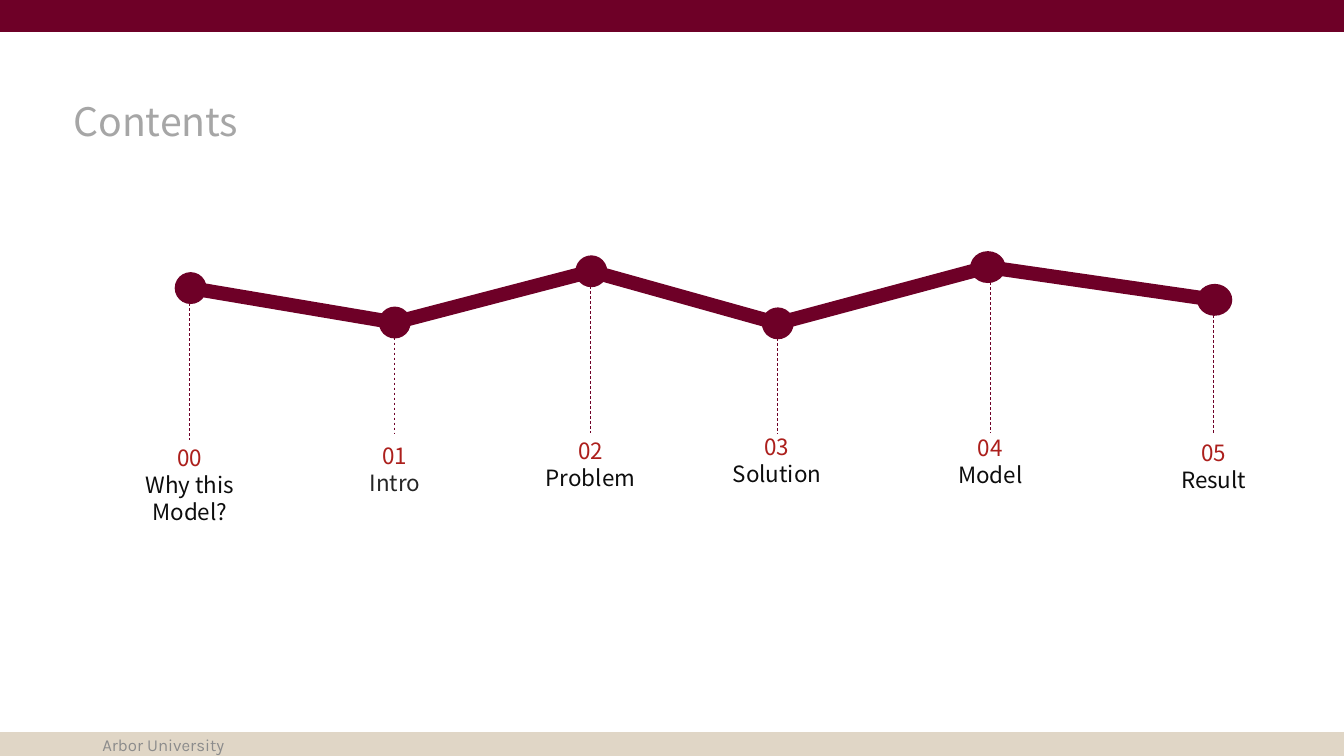
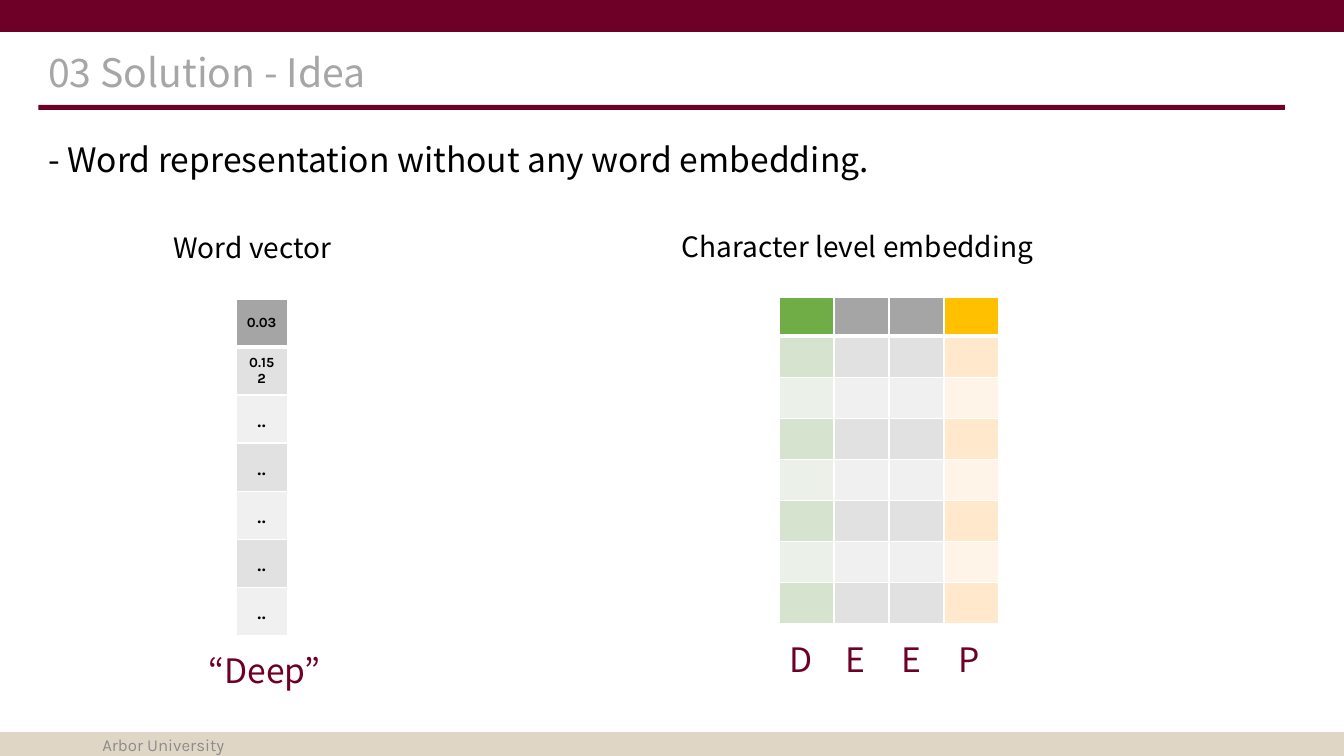
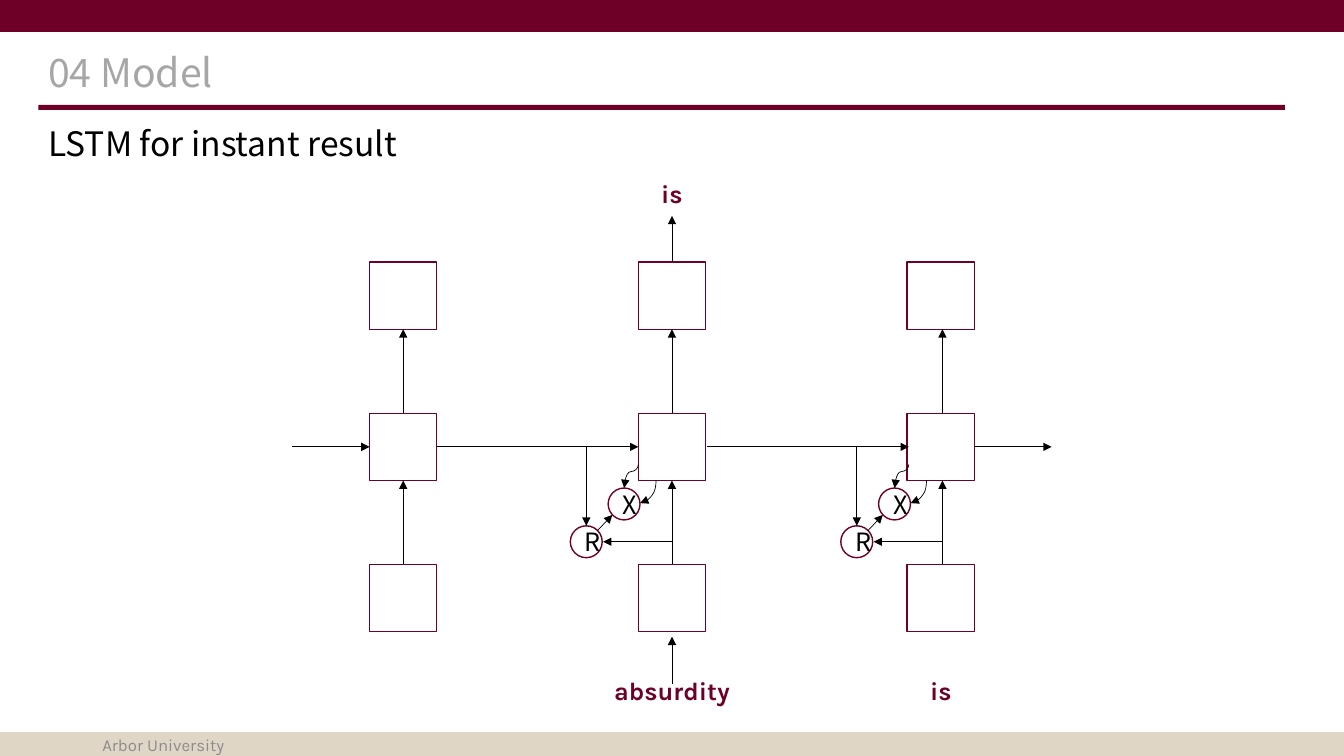
import math
from lxml import etree
from pptx import Presentation
from pptx import util as u
from pptx.dml.color import RGBColor as RGB
from pptx.enum import dml, shapes, text
from pptx.oxml import ns

COLUMNS, ROWS = 80, 45
CELL = u.Inches(1) / 6
SANS, KARLA = "Noto Sans CJK KR", "Karla"
KIND, ALIGN, ANCHOR = shapes.MSO_SHAPE, text.PP_ALIGN, text.MSO_ANCHOR


class Theme:
    wine, sand, white, black = "6E0027", "E0D6C6", "FFFFFF", "000000"
    soft, dark = "262626", "0D0D0D"
    gray = ("A5A5A5", "E1E1E1", "F0F0F0")
    green = ("70AD47", "D5E3CF", "EBF1E9")
    amber = ("FFC000", "FFE8CC", "FFF4E7")
    title = ("A6A6A6", {"name": SANS, "size": u.Pt(28)})
    lead = (black, {"name": SANS, "size": u.Pt(24)})
    heading = (black, {"name": SANS, "size": u.Pt(20)})
    letter = (wine, {"name": SANS, "size": u.Pt(24)})
    number = ("AC1F1C", {"name": SANS, "size": u.Pt(16)})
    gate = (black, {"name": SANS, "size": u.Pt(18)})
    footer = ("8C8C8C", {"name": KARLA, "size": u.Pt(12)})
    figure = (black, {"name": KARLA, "size": u.Pt(10), "bold": True})
    dots = (black, {"name": KARLA, "size": u.Pt(18)})
    word = (wine, {"name": KARLA, "size": u.Pt(18), "bold": True})


def block(slide, kind, box, fill=None, line=None, turn=0):
    shape = slide.shapes.add_shape(kind, *[round(n * CELL) for n in box])
    shape.shadow.inherit = False
    shape.rotation = turn
    for paint, color in ((shape.fill, fill), (shape.line.fill, line)):
        if color:
            paint.solid()
            paint.fore_color.rgb = RGB.from_string(color)
        else:
            paint.background()
    if line:
        shape.line.width = u.Pt(1)
    return shape


def write(frame, lines, align=ALIGN.JUSTIFY, spacing=0.9, anchor=ANCHOR.MIDDLE):
    frame.word_wrap, frame.vertical_anchor = True, anchor
    for i, (words, (ink, font_values)) in enumerate(lines):
        paragraph = frame.add_paragraph() if i else frame.paragraphs[0]
        paragraph.alignment, paragraph.line_spacing = align, spacing
        run = paragraph.add_run()
        run.text = words
        run.font.color.rgb = RGB.from_string(ink)
        for name, value in font_values.items():
            setattr(run.font, name, value)


deck = Presentation()
deck.slide_width, deck.slide_height = round(COLUMNS * CELL), round(ROWS * CELL)
contents, idea, model = [deck.slides.add_slide(deck.slide_layouts[6]) for _ in range(3)]
captions, sheets, links = [], [], []

for slide, heading, left, top in (
    (contents, "Contents", 3.78, 4.92),
    (idea, "03 Solution - Idea", 2.28, 2.04),
    (model, "04 Model", 2.28, 2.04),
):
    block(slide, KIND.RECTANGLE, (0, 43.6, COLUMNS, 1.4), Theme.sand, Theme.sand)
    block(slide, KIND.RECTANGLE, (0, 0, COLUMNS, 1.85), Theme.wine, Theme.wine)
    if slide is not contents:
        block(slide, KIND.RECTANGLE, (2.28, 6.24, 74.2, 0.3), Theme.wine)
    captions += [
        (slide, (left, top, 69, 4.86), heading, Theme.title),
        (slide, (5.5, 43.45, 18, 1.75), "Arbor University", Theme.footer),
    ]

stops = [
    (11.35, 17.15, 1.9, 11.3, 26.15, ["Why this", "Model?"], Theme.dark),
    (23.5, 19.2, 1.9, 23.5, 26.05, ["Intro"], Theme.soft),
    (35.2, 16.15, 1.9, 35.15, 25.75, ["Problem"], Theme.dark),
    (46.3, 19.25, 1.9, 46.25, 25.5, ["Solution"], Theme.dark),
    (58.8, 15.9, 2.1, 58.95, 25.55, ["Model"], Theme.dark),
    (72.3, 17.85, 2.1, 72.25, 25.85, ["Result"], Theme.dark),
]
BAR = 0.84
for (x1, y1, *_), (x2, y2, *_) in zip(stops, stops[1:]):
    length = math.hypot(x2 - x1, y2 - y1)
    bar = ((x1 + x2 - length) / 2, (y1 + y2 - BAR) / 2, length, BAR)
    angle = math.degrees(math.atan2(y2 - y1, x2 - x1))
    block(contents, KIND.RECTANGLE, bar, Theme.wine, turn=angle)
for i, (x, y, dot, stick, label_top, topic, ink) in enumerate(stops):
    block(contents, KIND.OVAL, (x - dot / 2, y - 0.95, dot, 1.9), Theme.wine)
    links.append((contents, stick, y, stick, 25.8 if i else 26.2, None))
    label_box = [round(n * CELL) for n in (stick - 5.2, label_top, 10.4, 3.84)]
    lines = [(f"{i:02}", Theme.number)] + [(part, (ink, Theme.number[1])) for part in topic]
    label = contents.shapes.add_textbox(*label_box)
    write(label.text_frame, lines, ALIGN.CENTER, 1, ANCHOR.TOP)

captions += [
    (idea, (2.28, 6.78, 74.2, 5.7), "- Word representation without any word embedding.", Theme.lead),
    (idea, (9.72, 12.78, 12.5, 4.08), "Word vector", Theme.heading),
    (idea, (40, 11.94, 25.8, 5.7), "Character level embedding", Theme.heading),
    (idea, (11.82, 37.2, 9.36, 5.7), "“Deep”", Theme.letter),
    (model, (2.28, 6.24, 74.2, 4.86), "LSTM for instant result", Theme.lead),
]
for i, letter in enumerate("DEEP"):
    captions.append((idea, (46.4 + 3.35 * i, 37, 2.5, 4.8), letter, Theme.letter))
vector = [("0.03", Theme.figure), ("0.152", Theme.figure)] + [("..", Theme.dots)] * 5
sheets.append((idea, 14.05, 17.8, [3.05], [2.86] * 7, Theme.gray, vector))
for start, count, shades in ((1, 2, Theme.gray), (0, 1, Theme.green), (3, 1, Theme.amber)):
    left = 46.38 + 3.27 * start
    sheets.append((idea, left, 17.7, [3.27] * count, [2.3] + [2.45] * 7, shades, []))

UNIT = 4
layers = (15.6, 24.6, 33.6)
for left, stem in ((22, 24), (38, 40), (54, 56.1)):
    for top in layers:
        block(model, KIND.RECTANGLE, (left, top, UNIT, UNIT), line=Theme.wine)
    for upper, lower in zip(layers, layers[1:]):
        links.append((model, stem, lower, stem, upper + UNIT, None))
for shift in (0, 16.1):
    for name, left, top in (("X", 36.2, 29.05), ("R", 33.95, 31.3)):
        gate = block(model, KIND.OVAL, (left + shift, top, 1.9, 1.9), line=Theme.wine)
        write(gate.text_frame, [(name, Theme.gate)], ALIGN.CENTER, 1)
    for x1, y1, x2, y2, bend in (
        (40, 32.25, 35.9, 32.25, None),
        (34.9, 26.6, 34.9, 31.3, None),
        (35.55, 31.6, 36.45, 30.65, None),
        (38, 27.65, 37.15, 29.05, "curvedConnector3"),
        (39.05, 28.6, 38.1, 29.95, "curvedConnector2"),
    ):
        links.append((model, x1 + shift, y1, x2 + shift, y2, bend))
for x1, x2 in ((17.4, 22), (26, 38), (42.1, 54.1), (58, 62.6)):
    links.append((model, x1, 26.6, x2, 26.6, None))
for y1, y2 in ((40.7, 37.9), (15.6, 12.85)):
    links.append((model, 40, y1, 40, y2, None))
for left, top, word in ((34.9, 10.4, "is"), (34.9, 40, "absurdity"), (50.9, 40, "is")):
    sheets.append((model, left, top, [10.2], [2.45], None, [(word, Theme.word)]))

for slide, box, words, style in captions:
    caption = slide.shapes.add_textbox(*[round(n * CELL) for n in box])
    align, spacing = (ALIGN.LEFT, 1) if style is Theme.footer else (ALIGN.JUSTIFY, 0.9)
    write(caption.text_frame, [(words, style)], align, spacing)

for slide, left, top, widths, heights, shades, entries in sheets:
    box = [round(n * CELL) for n in (left, top, sum(widths), sum(heights))]
    grid = slide.shapes.add_table(len(heights), len(widths), *box).table
    grid.first_row = grid.horz_banding = False
    for column, width in zip(grid.columns, widths):
        column.width = round(width * CELL)
    for r, height in enumerate(heights):
        grid.rows[r].height = round(height * CELL)
        for c in range(len(widths)):
            cell = grid.cell(r, c)
            cell_values = {"margin_top": 0, "margin_bottom": 0, "vertical_anchor": ANCHOR.MIDDLE}
            for name, value in cell_values.items():
                setattr(cell, name, value)
            for side in ("lnL", "lnR", "lnT", "lnB"):
                thick = (side == "lnB" and r == 0) or (side == "lnT" and r == 1)
                border = etree.SubElement(cell._tc.get_or_add_tcPr(), ns.qn(f"a:{side}"))
                border.set("w", str(u.Pt(3 if thick else 1)))
                paint = etree.SubElement(border, ns.qn("a:solidFill"))
                etree.SubElement(paint, ns.qn("a:srgbClr")).set("val", Theme.white)
            if shades:
                cell.fill.solid()
                cell.fill.fore_color.rgb = RGB.from_string(shades[2 - r % 2] if r else shades[0])
            else:
                cell.fill.background()
            if entries:
                write(cell.text_frame, [entries[r]], ALIGN.CENTER, 1)

for slide, x1, y1, x2, y2, bend in links:
    ends = (x1, y1, x2, y2)
    if bend:
        x, y, half_w, half_h = (x1 + x2) / 2, (y1 + y2) / 2, abs(y2 - y1) / 2, abs(x2 - x1) / 2
        ends = (x - half_w, y - half_h, x + half_w, y + half_h)
    route = shapes.MSO_CONNECTOR.CURVE if bend else shapes.MSO_CONNECTOR.STRAIGHT
    link = slide.shapes.add_connector(route, *[round(n * CELL) for n in ends])
    link.line.width = u.Pt(0.5)
    link.line.color.rgb = RGB.from_string(Theme.wine if slide is contents else Theme.black)
    properties = link._element.spPr
    if slide is contents:
        link.line.dash_style = dml.MSO_LINE.DASH
    else:
        etree.SubElement(properties.find(ns.qn("a:ln")), ns.qn("a:tailEnd")).set("type", "triangle")
    if bend:
        properties.find(ns.qn("a:xfrm")).set("rot", "5400000")
        outline = properties.find(ns.qn("a:prstGeom"))
        outline.set("prst", bend)
        if bend == "curvedConnector3":
            guide = etree.SubElement(outline.find(ns.qn("a:avLst")), ns.qn("a:gd"))
            for name, value in {"name": "adj1", "fmla": "val 30000"}.items():
                guide.set(name, value)
    etree.SubElement(properties, ns.qn("a:effectLst"))

deck.save("out.pptx")
